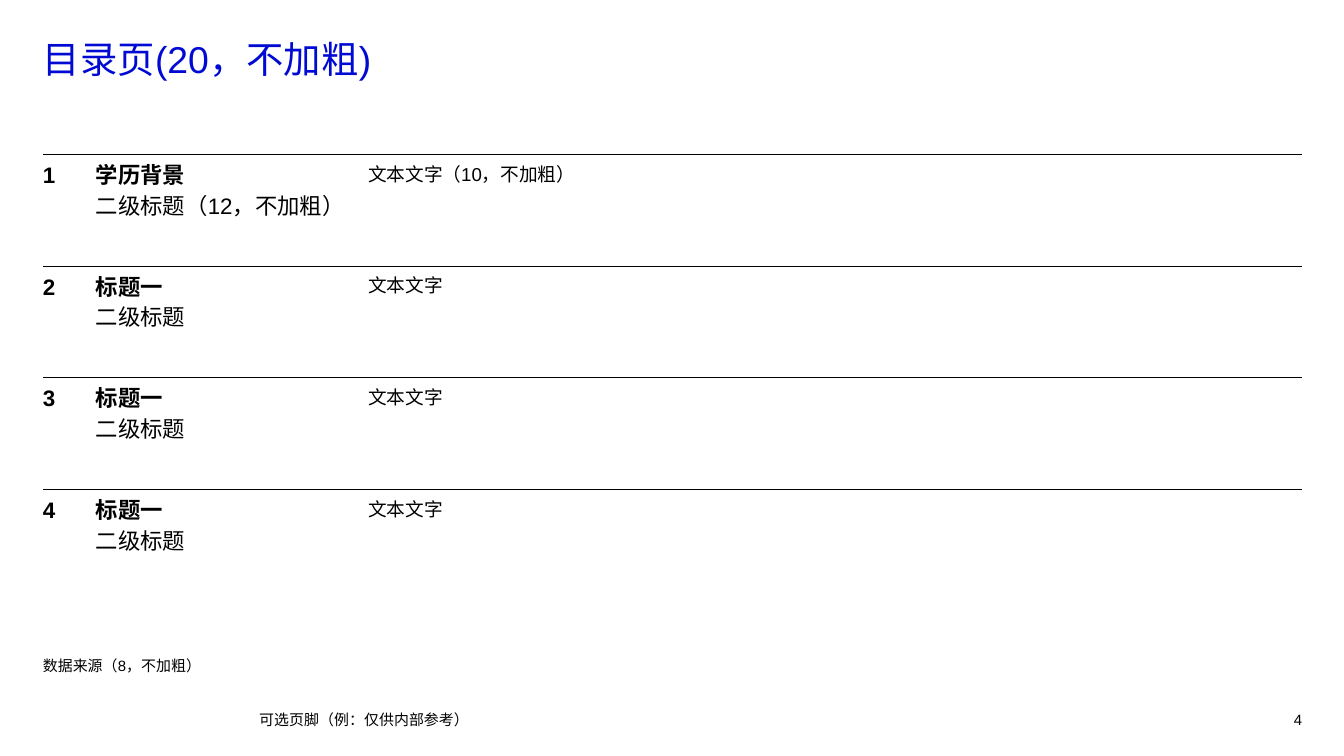
"""Build a contents slide with four numbered sections."""
import pptx
import pptx.dml.color
import pptx.enum.text
import pptx.oxml
import pptx.oxml.ns
import pptx.util
from pptx.util import Cm

BLACK = pptx.dml.color.RGBColor(0x00, 0x00, 0x00)
BLUE = pptx.dml.color.RGBColor(0x00, 0x0A, 0xD2)
ANCHOR = pptx.enum.text.MSO_ANCHOR
ALIGN = pptx.enum.text.PP_ALIGN
NAMESPACE = pptx.oxml.ns.nsdecls("a")
MARGIN = Cm(0.81)
CONTENT_WIDTH = Cm(23.8)
INDENT = Cm(1)


def set_font(paragraph, size, color=BLACK, bold=False):
    paragraph.font.name = "Arial"
    paragraph.font.size = pptx.util.Pt(size)
    paragraph.font.bold = bold
    paragraph.font.color.rgb = color


def add_text(text, left, top, width, height, size, anchor, color=BLACK, align=ALIGN.LEFT):
    frame = slide.shapes.add_textbox(left, top, width, height).text_frame
    frame.word_wrap = True
    frame.vertical_anchor = anchor
    frame.margin_left = frame.margin_right = frame.margin_top = frame.margin_bottom = 0
    paragraph = frame.paragraphs[0]
    paragraph.text = text
    paragraph.alignment = align
    set_font(paragraph, size, color)
    return paragraph


prs = pptx.Presentation()
prs.slide_width = Cm(25.4)
prs.slide_height = Cm(14.29)
slide = prs.slides.add_slide(prs.slide_layouts[6])

source = add_text("数据来源（8，不加粗）", MARGIN, Cm(11.4), CONTENT_WIDTH, Cm(1.35), 8, ANCHOR.BOTTOM)
source.line_spacing = 1.1

sections = [
    ("学历背景", "二级标题（12，不加粗）", "文本文字（10，不加粗）"),
    ("标题一", "二级标题", "文本文字"),
    ("标题一", "二级标题", "文本文字"),
    ("标题一", "二级标题", "文本文字"),
]
contents = slide.shapes.add_table(
    len(sections), 2, MARGIN, Cm(2.92), CONTENT_WIDTH, Cm(8.44)
).table
contents.first_row = contents.horz_banding = False
contents.columns[0].width = Cm(6.05)
contents.columns[1].width = Cm(17.75)

for index, (heading, subheading, description) in enumerate(sections):
    heading_cell, description_cell = contents.cell(index, 0), contents.cell(index, 1)

    heading_cell.text = f"{index + 1}\t{heading}\n{subheading}"
    for paragraph, first_indent in zip(heading_cell.text_frame.paragraphs, (-INDENT, 0)):
        paragraph.line_spacing = 0.95
        properties = paragraph._p.get_or_add_pPr()
        properties.set("marL", str(INDENT))
        properties.set("indent", str(first_indent))
        properties.append(pptx.oxml.parse_xml(
            f'<a:tabLst {NAMESPACE}><a:tab pos="{INDENT}" algn="l"/></a:tabLst>'))
        set_font(paragraph, 12, bold=first_indent < 0)

    description_cell.text = description
    set_font(description_cell.text_frame.paragraphs[0], 10)

    for cell in (heading_cell, description_cell):
        cell.margin_left = cell.margin_right = cell.margin_top = cell.margin_bottom = Cm(0.1)
        cell.fill.background()
        ruled_sides = "TB" if index < len(sections) - 1 else "T"
        for position, side in enumerate("LRTB"):
            fill = (f'<a:solidFill><a:srgbClr val="{BLACK}"/></a:solidFill>'
                    if side in ruled_sides else "<a:noFill/>")
            cell._tc.get_or_add_tcPr().insert(position, pptx.oxml.parse_xml(
                f'<a:ln{side} {NAMESPACE} w="{pptx.util.Pt(0.5)}">{fill}</a:ln{side}>'))
    heading_cell.margin_left = 0
    heading_cell.margin_top = Cm(0.08)

add_text("可选页脚（例：仅供内部参考）", Cm(4.9), Cm(13.41), Cm(16.41), Cm(0.38), 8, ANCHOR.MIDDLE)
add_text("4", Cm(23.62), Cm(13.41), Cm(0.99), Cm(0.38), 8, ANCHOR.MIDDLE, align=ALIGN.RIGHT)
add_text("目录页(20，不加粗)", MARGIN, Cm(0.69), CONTENT_WIDTH, Cm(1.83), 20, ANCHOR.TOP, BLUE)

prs.save("out.pptx")
